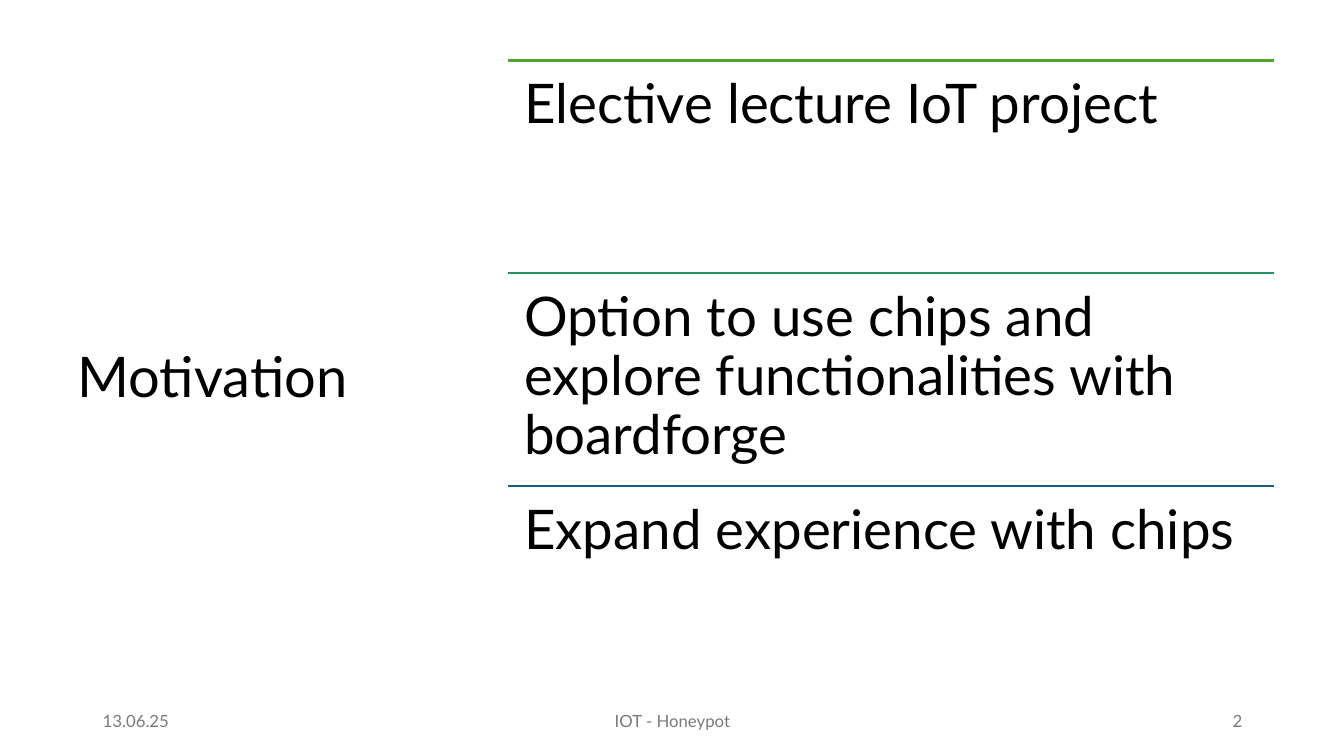
import pptx
import pptx.dml.color
import pptx.enum.shapes
import pptx.enum.text
import pptx.oxml.ns
import pptx.util
from lxml import etree

PX = 9144  # 100 px to the inch
FONT = "Lato"
BLACK, GREY = "000000", "797979"
ALIGN = pptx.enum.text.PP_ALIGN
ANCHOR = pptx.enum.text.MSO_ANCHOR

POINTS_LEFT, POINTS_TOP, POINTS_WIDTH, POINT_HEIGHT = 504, 60, 760, 211
POINTS = [
    ("Elective lecture IoT project", "4EA72E"),
    ("Option to use chips and explore functionalities with boardforge", "20965E"),
    ("Expand experience with chips", "156082"),
]
FOOTER_TOP, FOOTER_HEIGHT = 695, 40
FOOTERS = [
    ("13.06.25", 92, 300, ALIGN.LEFT),
    ("IOT - Honeypot", 442, 450, ALIGN.CENTER),
    ("2", 942, 300, ALIGN.RIGHT),
]


def px(length):
    return pptx.util.Emu(length * PX)


def color(hex_string):
    return pptx.dml.color.RGBColor.from_string(hex_string)


def write_text(shape, text, size, hex_string, align=ALIGN.LEFT,
               anchor=ANCHOR.MIDDLE, line_spacing=1.0):
    frame = shape.text_frame
    frame.word_wrap = True
    frame.auto_size = pptx.enum.text.MSO_AUTO_SIZE.NONE
    frame.vertical_anchor = anchor
    paragraph = frame.paragraphs[0]
    paragraph.alignment = align
    paragraph.line_spacing = line_spacing
    run = paragraph.add_run()
    run.text = text
    run.font.name = FONT
    run.font.size = pptx.util.Pt(size)
    run.font.color.rgb = color(hex_string)


def add_title(slide, text):
    title = slide.shapes.title
    title.left, title.top = px(67), px(60)
    title.width, title.height = px(382), px(633)
    write_text(title, text, 40, BLACK, line_spacing=0.9)


def add_rule(slide, left, top, width, hex_string):
    rule = slide.shapes.add_connector(
        pptx.enum.shapes.MSO_CONNECTOR.STRAIGHT,
        px(left), px(top), px(left + width), px(top))
    rule.line.color.rgb = color(hex_string)
    rule.line.width = pptx.util.Pt(1.5)
    etree.SubElement(rule._element.spPr, pptx.oxml.ns.qn("a:effectLst"))


def add_point(slide, top, text, rule_color):
    add_rule(slide, POINTS_LEFT, top, POINTS_WIDTH, rule_color)
    box = slide.shapes.add_textbox(
        px(POINTS_LEFT), px(top), px(POINTS_WIDTH), px(POINT_HEIGHT))
    frame = box.text_frame
    frame.margin_left = frame.margin_right = px(16)
    frame.margin_top = frame.margin_bottom = px(16)
    write_text(box, text, 39, BLACK, anchor=ANCHOR.TOP, line_spacing=0.9)


def add_footer(slide, text, left, width, align):
    box = slide.shapes.add_textbox(
        px(left), px(FOOTER_TOP), px(width), px(FOOTER_HEIGHT))
    write_text(box, text, 12, GREY, align)


def main():
    presentation = pptx.Presentation()
    presentation.slide_width, presentation.slide_height = px(1333), px(750)
    slide = presentation.slides.add_slide(presentation.slide_layouts[5])

    # Title on the left
    add_title(slide, "Motivation")

    # Ruled points on the right
    for index, (text, rule_color) in enumerate(POINTS):
        add_point(slide, POINTS_TOP + index * POINT_HEIGHT, text, rule_color)

    # Date, topic and slide number
    for footer in FOOTERS:
        add_footer(slide, *footer)

    presentation.save("out.pptx")


if __name__ == "__main__":
    main()
